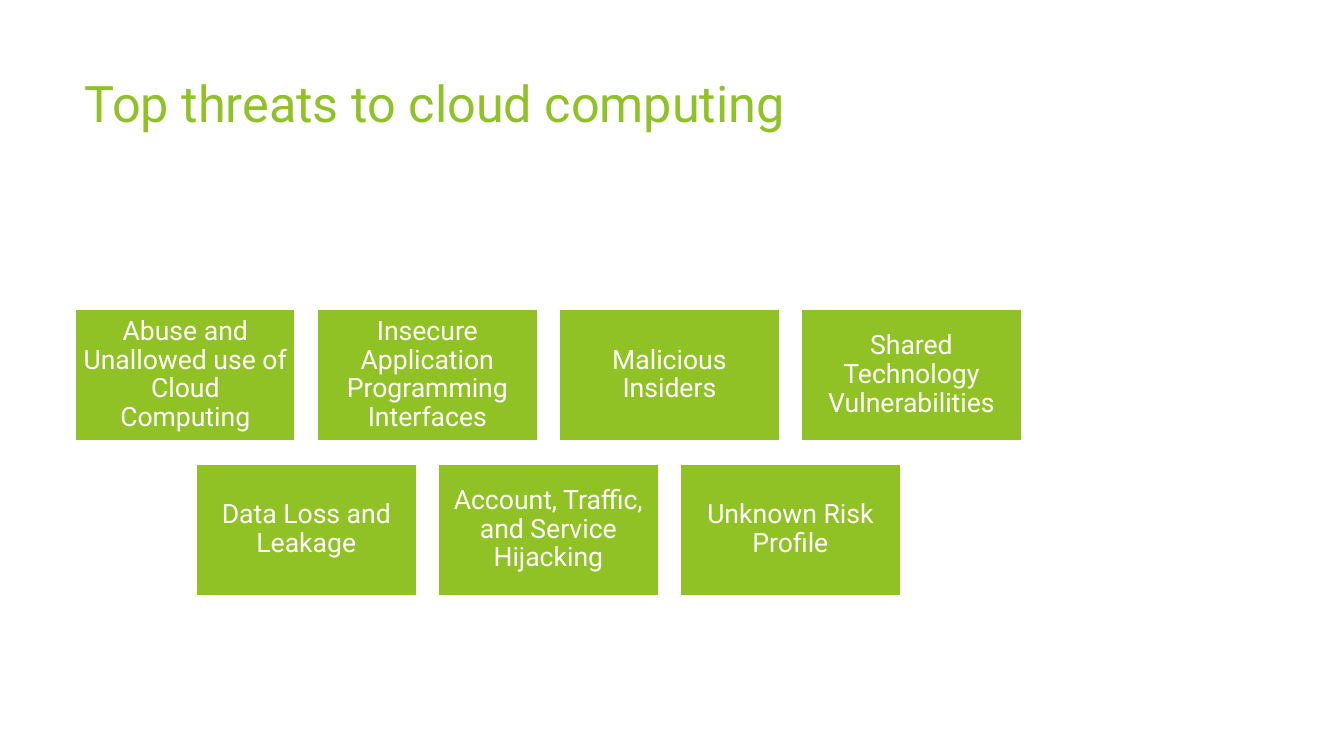
from pptx import Presentation
from pptx.dml.color import RGBColor
from pptx.enum.shapes import MSO_SHAPE
from pptx.enum.text import MSO_ANCHOR, PP_ALIGN
from pptx.util import Cm, Pt

GREEN = "90C226"
WHITE = "FFFFFF"


def color(value):
    return RGBColor.from_string(value)


def write(shape, text, size=19, ink=WHITE, align=PP_ALIGN.LEFT,
          anchor=MSO_ANCHOR.TOP, spacing=1.0, after=0):
    frame = shape.text_frame
    frame.word_wrap = True
    frame.vertical_anchor = anchor
    para = frame.paragraphs[0]
    para.alignment = align
    para.line_spacing = spacing
    para.space_after = Pt(after)
    span = para.add_run()
    span.text = text
    span.font.name = "Roboto"
    span.font.size = Pt(size)
    span.font.color.rgb = color(ink)


deck = Presentation()
deck.slide_width = Cm(33.87)
deck.slide_height = Cm(19.05)
page = deck.slides.add_slide(deck.slide_layouts[6])

# Title
title = page.shapes.add_textbox(Cm(1.88), Cm(1.7), Cm(23.88), Cm(3.66))
write(title, "Top threats to cloud computing", size=36, ink=GREEN)

# Threat cards, each row centred on the same axis
rows = [
    ["Abuse and Unallowed use of Cloud Computing",
     "Insecure Application Programming Interfaces",
     "Malicious Insiders",
     "Shared Technology Vulnerabilities"],
    ["Data Loss and Leakage",
     "Account, Traffic, and Service Hijacking",
     "Unknown Risk Profile"],
]
card_width, card_height = 5.56, 3.33
step_x, step_y = 6.1, 3.9
center, top = 13.82, 7.78

for row, threats in enumerate(rows):
    left = center - ((len(threats) - 1) * step_x + card_width) / 2
    for column, threat in enumerate(threats):
        card = page.shapes.add_shape(
            MSO_SHAPE.RECTANGLE, Cm(left + column * step_x),
            Cm(top + row * step_y), Cm(card_width), Cm(card_height))
        card.shadow.inherit = False
        card.fill.solid()
        card.fill.fore_color.rgb = color(GREEN)
        card.line.color.rgb = color(WHITE)
        card.line.width = Pt(1.5)
        frame = card.text_frame
        frame.margin_left = frame.margin_right = Cm(0.2)
        frame.margin_top = frame.margin_bottom = Cm(0.2)
        write(card, threat, align=PP_ALIGN.CENTER,
              anchor=MSO_ANCHOR.MIDDLE, spacing=0.9, after=8)

deck.save("out.pptx")
